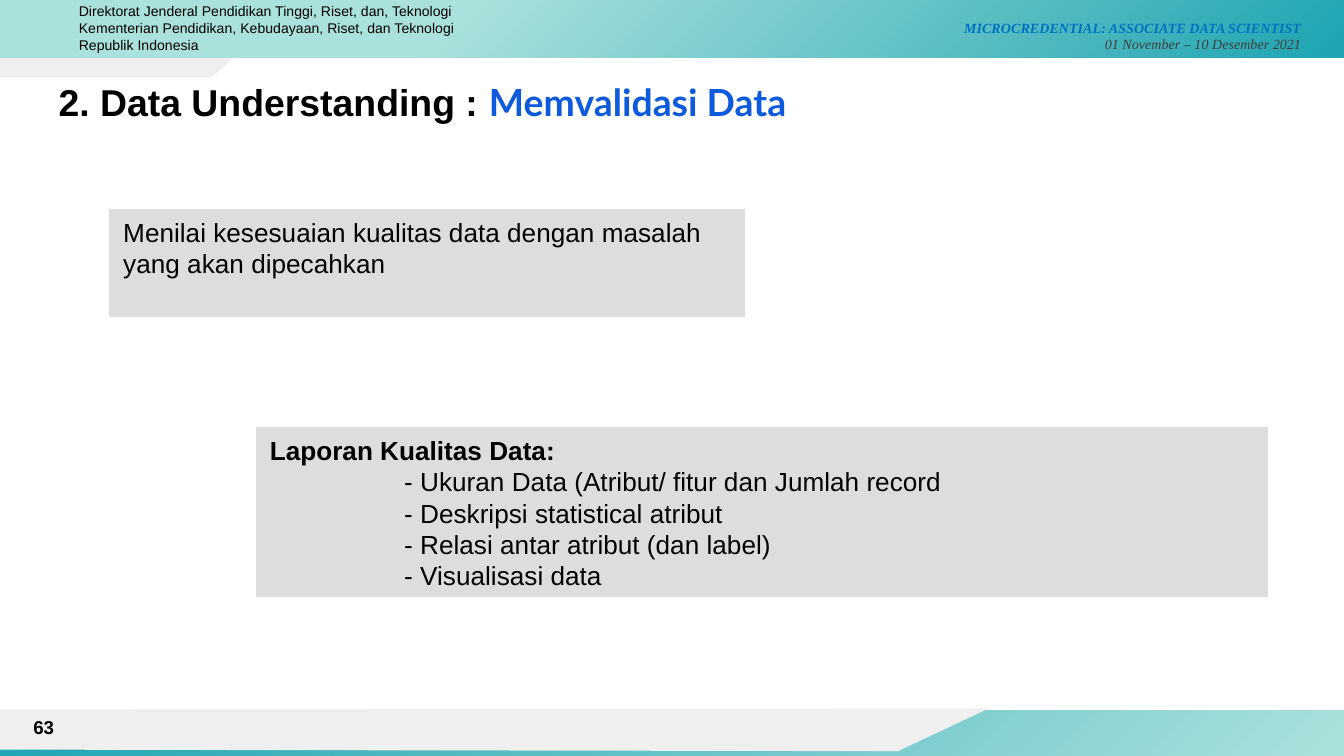
"""Build the data validation slide of a data science course."""
from dataclasses import dataclass

import lxml.etree
import pptx
import pptx.dml.color
import pptx.enum.shapes
import pptx.enum.text
import pptx.oxml
import pptx.oxml.ns
import pptx.util

Cm = pptx.util.Cm
RGB = pptx.dml.color.RGBColor
Align = pptx.enum.text.PP_ALIGN
Anchor = pptx.enum.text.MSO_ANCHOR
RECT = pptx.enum.shapes.MSO_SHAPE.RECTANGLE

BLACK = RGB(0x00, 0x00, 0x00)
DARK = RGB(0x3F, 0x3F, 0x3F)
SKY = RGB(0x00, 0x70, 0xC0)
BLUE = RGB(0x0D, 0x5B, 0xDC)
PALE = RGB(0xEF, 0xEF, 0xEF)
GREY = RGB(0xDD, 0xDD, 0xDD)
TEAL = RGB(0x1E, 0xA4, 0xB2)
MINT = RGB(0xAB, 0xE1, 0xDC)


@dataclass
class Run:
    text: str
    color: RGB = BLACK
    bold: bool = False
    italic: bool = False
    font: str = "Arial"


@dataclass
class Line:
    runs: list[Run]
    indent: float = 0


@dataclass
class Box:
    area: tuple[float, float, float, float]
    size: float
    lines: list[Line]
    align: Align = Align.LEFT
    anchor: Anchor = Anchor.TOP
    top: float = 0.13
    filled: bool = False


@dataclass
class Band:
    area: tuple[float, float, float, float]
    stops: list[tuple[int, RGB]]


SERIF = "Times New Roman"
ITEMS = [
    "- Ukuran Data (Atribut/ fitur dan Jumlah record",
    "- Deskripsi statistical atribut",
    "- Relasi antar atribut (dan label)",
    "- Visualisasi data",
]
FOOT = Band((0, 13.44, 25.4, 0.91), [(0, MINT), (100, TEAL)])
HEAD = Band((0, 0, 25.4, 1.09), [(0, TEAL), (67, MINT), (100, MINT)])
TAB = [(4.65, 0.89), (0, 0.84), (0, 1.47), (3.99, 1.47)]
BASE = [(18.69, 13.39), (0, 13.41), (0, 14.17), (16.97, 14.2)]
BOXES = [
    Box((15.11, 0.13, 9.73, 0.99), 7.5, [
        Line([Run("MICROCREDENTIAL: ASSOCIATE DATA SCIENTIST", SKY, True, True, SERIF)]),
        Line([Run("01 November – 10 Desember 2021", DARK, False, True, SERIF)]),
    ], align=Align.RIGHT, top=0.23),
    Box((1.24, -0.08, 8.46, 1.22), 7.5, [
        Line([Run("Direktorat Jenderal Pendidikan Tinggi, Riset, dan, Teknologi")]),
        Line([Run("Kementerian Pendidikan, Kebudayaan, Riset, dan Teknologi Republik Indonesia")]),
    ]),
    Box((0.86, 1.24, 23.67, 1.6), 20, [
        Line([Run("2. Data Understanding : ", bold=True),
              Run("Memvalidasi Data", BLUE, True, font="Lato")]),
    ], top=0.25),
    Box((2.08, 3.96, 11.99, 2.03), 14, [
        Line([Run("Menilai kesesuaian kualitas data dengan masalah yang akan dipecahkan")]),
    ], filled=True),
    Box((4.85, 8.08, 19.1, 3.2), 14, [
        Line([Run("Laporan Kualitas Data:", bold=True)]),
        *(Line([Run(item)], 2.54) for item in ITEMS),
    ], filled=True),
    Box((0, 13.36, 1.27, 0.76), 10, [Line([Run("63", bold=True)])],
        align=Align.RIGHT, anchor=Anchor.MIDDLE),
]


def draw_band(shapes, band: Band) -> None:
    """Draw a bar whose gradient spreads from its lower right corner."""
    bar = shapes.add_shape(RECT, *map(Cm, band.area))
    bar.shadow.inherit = False
    bar.line.fill.background()
    bar.fill.gradient()
    stops = "".join(
        f'<a:gs pos="{pos * 1000}"><a:srgbClr val="{color}"/></a:gs>'
        for pos, color in band.stops
    )
    grad = pptx.oxml.parse_xml(
        f'<a:gradFill {pptx.oxml.ns.nsdecls("a")} rotWithShape="1">'
        f'<a:gsLst>{stops}</a:gsLst><a:path path="circle">'
        '<a:fillToRect l="100000" t="100000"/></a:path></a:gradFill>'
    )
    props = bar.fill._xPr
    props.replace(props.find(pptx.oxml.ns.qn("a:gradFill")), grad)


def draw_flap(shapes, points: list[tuple[float, float]]) -> None:
    """Draw a pale slanted panel through the points."""
    first, *rest = [(Cm(x), Cm(y)) for x, y in points]
    pen = shapes.build_freeform(*first)
    pen.add_line_segments(rest, close=True)
    flap = pen.convert_to_shape()
    flap.shadow.inherit = False
    flap.fill.solid()
    flap.fill.fore_color.rgb = PALE
    flap.line.fill.background()


def draw_box(shapes, box: Box) -> None:
    """Draw a text box, or a grey rectangle with text."""
    area = map(Cm, box.area)
    if box.filled:
        shape = shapes.add_shape(RECT, *area)
        shape.shadow.inherit = False
        shape.fill.solid()
        shape.fill.fore_color.rgb = GREY
        shape.line.color.rgb = GREY
        shape.line.width = pptx.util.Pt(0.75)
    else:
        shape = shapes.add_textbox(*area)
    frame = shape.text_frame
    frame.word_wrap = True
    frame.vertical_anchor = box.anchor
    frame.margin_left = frame.margin_right = Cm(0.25)
    frame.margin_top, frame.margin_bottom = Cm(box.top), Cm(0.13)
    frame.text = "\n".join("" for _ in box.lines)
    for para, line in zip(frame.paragraphs, box.lines):
        para.alignment = box.align
        if line.indent:
            para._p.get_or_add_pPr().set("marL", str(int(Cm(line.indent))))
        for part in line.runs:
            run = para.add_run()
            run.text = part.text
            run.font.size = pptx.util.Pt(box.size)
            run.font.name = part.font
            run.font.bold = part.bold
            run.font.italic = part.italic
            run.font.color.rgb = part.color


def main() -> None:
    """Draw the slide and save it."""
    deck = pptx.Presentation()
    deck.slide_width, deck.slide_height = Cm(25.4), Cm(14.29)
    shapes = deck.slides.add_slide(deck.slide_layouts[6]).shapes
    draw_flap(shapes, TAB)
    draw_band(shapes, FOOT)
    draw_flap(shapes, BASE)
    draw_band(shapes, HEAD)
    for box in BOXES:
        draw_box(shapes, box)
    deck.save("out.pptx")


if __name__ == "__main__":
    main()
